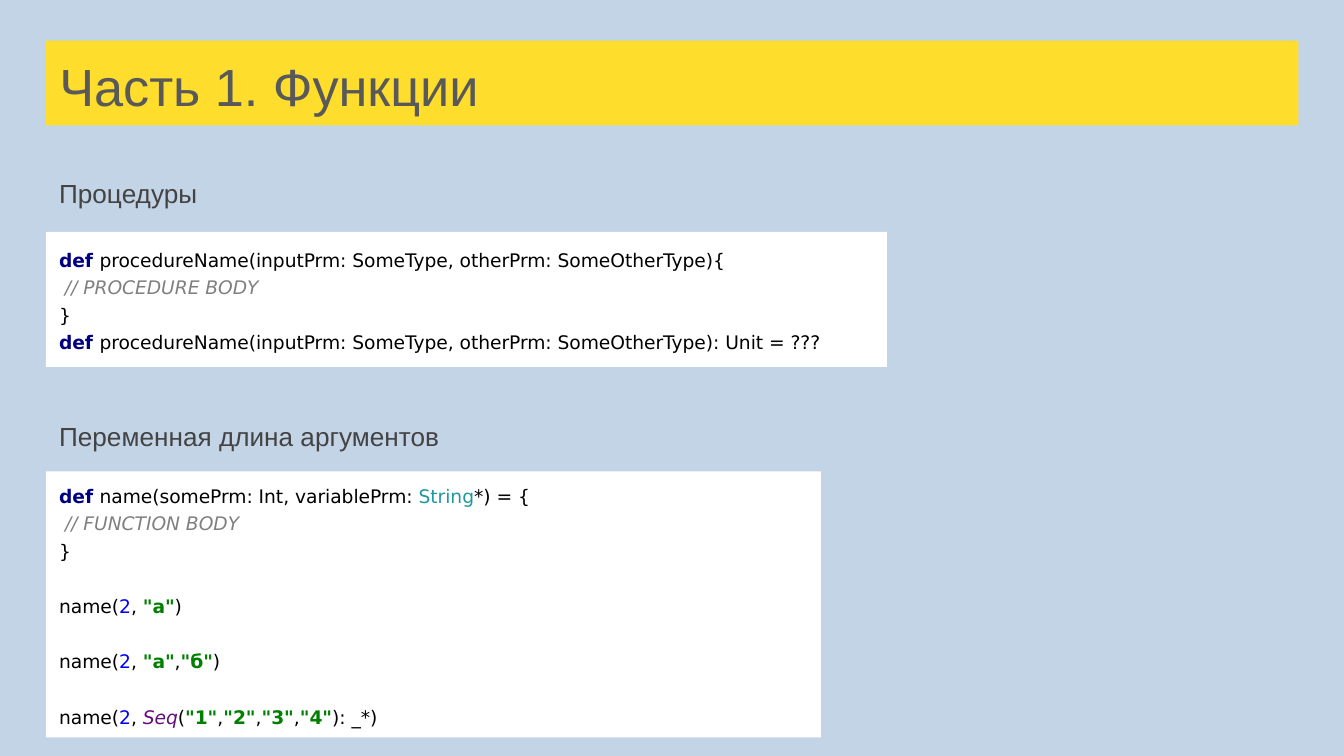
"""Build a slide on Scala procedures and variable-length arguments."""
from pptx import Presentation
from pptx.dml.color import RGBColor as Rgb
from pptx.enum.shapes import MSO_SHAPE as Shape
from pptx.enum.text import MSO_ANCHOR as Anchor, MSO_AUTO_SIZE as Fit, PP_ALIGN as Align
from pptx.util import Pt

THEME = {
    "back": "C3D4E6", "bar": "FFDD2D", "box": "FFFFFF",
    "title": {"size": 28, "color": "595959"},
    "head": {"size": 14, "color": "434343"},
    "code": {"size": 10, "font": "DejaVu Sans"},
    "plain": {"color": "000000"},
    "key": {"color": "000080", "bold": True},
    "note": {"color": "808080", "italic": True},
    "type": {"color": "20999D"},
    "num": {"color": "0000FF"},
    "str": {"color": "008000", "bold": True},
    "obj": {"color": "660E7A", "italic": True},
}
LEFT, INSET, GAP = 24.6, 7.2, 14.8


def write(para, text, size, color, font="Arial", bold=False, italic=False):
    run = para.add_run()
    run.text = text
    face = run.font
    face.name, face.size, face.bold, face.italic = font, Pt(size), bold, italic
    face.color.rgb = Rgb.from_string(color)


def setup(shape, anchor):
    frame = shape.text_frame
    frame.word_wrap, frame.auto_size = True, Fit.NONE
    frame.vertical_anchor = anchor
    frame.margin_left = frame.margin_right = Pt(INSET)
    frame.margin_top = frame.margin_bottom = Pt(INSET)
    return frame


deck = Presentation()
deck.slide_width, deck.slide_height = Pt(720), Pt(405)
slide = deck.slides.add_slide(deck.slide_layouts[5])
slide.background.fill.solid()
slide.background.fill.fore_color.rgb = Rgb.from_string(THEME["back"])

title = slide.shapes.title
title.left, title.top, title.width, title.height = Pt(LEFT), Pt(21.8), Pt(671), Pt(45.4)
title.fill.solid()
title.fill.fore_color.rgb = Rgb.from_string(THEME["bar"])
para = setup(title, Anchor.TOP).paragraphs[0]
para.alignment = Align.LEFT
write(para, "Часть 1. Функции", **THEME["title"])

for text, top in (("Процедуры", 87.8), ("Переменная длина аргументов", 218.2)):
    label = slide.shapes.add_textbox(Pt(LEFT), Pt(top), Pt(293), Pt(33.8))
    write(setup(label, Anchor.TOP).paragraphs[0], text, **THEME["head"])

sign = "procedureName(inputPrm: SomeType, otherPrm: SomeOtherType)"
define = ("key", "def ")
close = [("plain", "}")]
call = [("plain", "name("), ("num", "2"), ("plain", ", ")]
comma, end = ("plain", ","), ("plain", ")")

proc = [
    (0, [define, ("plain", sign + "{")]),
    (0, [("note", " // PROCEDURE BODY")]),
    (0, close),
    (0, [define, ("plain", sign + ": Unit = ???")]),
]
seq = [("str", '"1"')]
for digit in "234":
    seq += [comma, ("str", f'"{digit}"')]
args = [
    (0, [define, ("plain", "name(somePrm: Int, variablePrm: "),
         ("type", "String"), ("plain", "*) = {")]),
    (0, [("note", " // FUNCTION BODY")]),
    (0, close),
    (GAP, call + [("str", '"a"'), end]),
    (GAP, call + [("str", '"a"'), comma, ("str", '"б"'), end]),
    (GAP, call + [("obj", "Seq"), ("plain", "("), *seq, ("plain", "): _*)")]),
]

for lines, top, width, height in ((proc, 124.2, 450.6, 72.4), (args, 252.6, 415.2, 142.5)):
    box = slide.shapes.add_shape(Shape.RECTANGLE, Pt(LEFT), Pt(top), Pt(width), Pt(height))
    box.shadow.inherit = False
    box.fill.solid()
    box.fill.fore_color.rgb = Rgb.from_string(THEME["box"])
    box.line.fill.background()
    frame = setup(box, Anchor.MIDDLE)
    for row, (before, runs) in enumerate(lines):
        para = frame.add_paragraph() if row else frame.paragraphs[0]
        para.alignment, para.line_spacing = Align.LEFT, 1.15
        para.space_before, para.space_after = Pt(before), Pt(1)
        for style, text in runs:
            write(para, text, **THEME["code"], **THEME[style])

deck.save("out.pptx")
